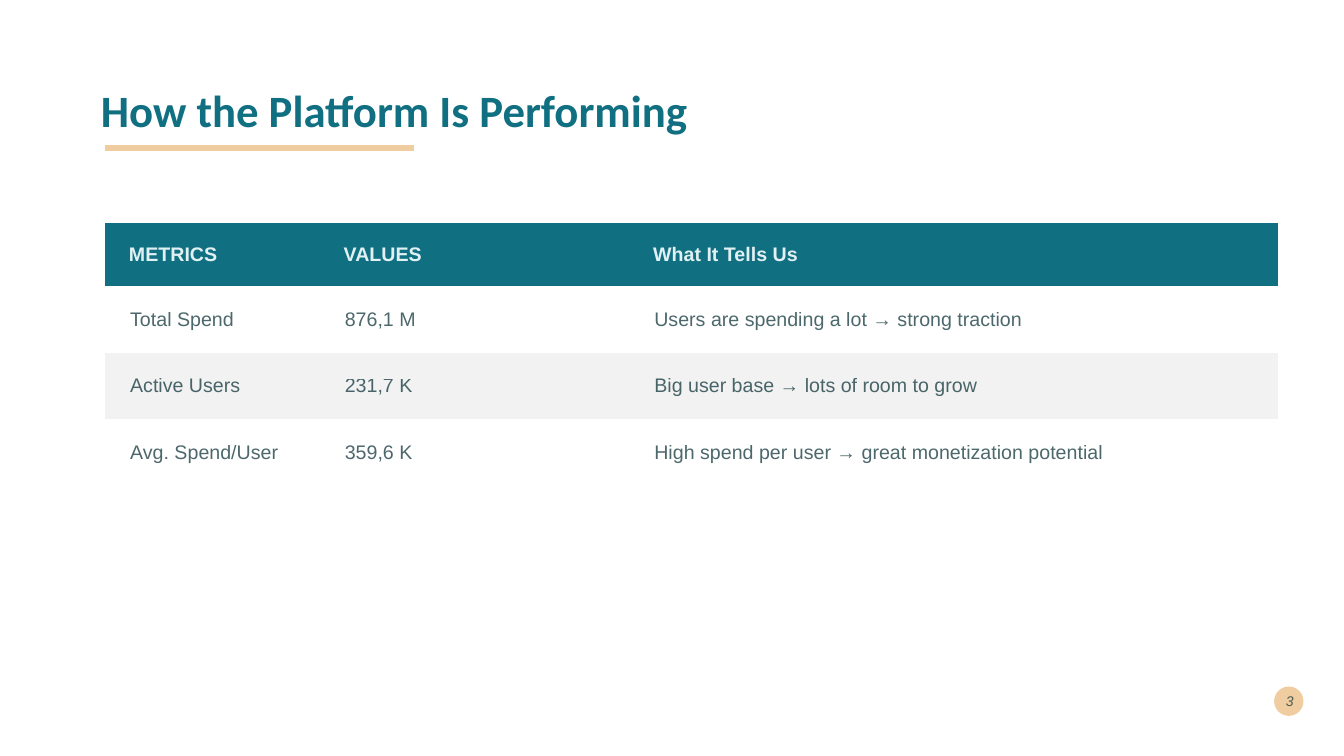
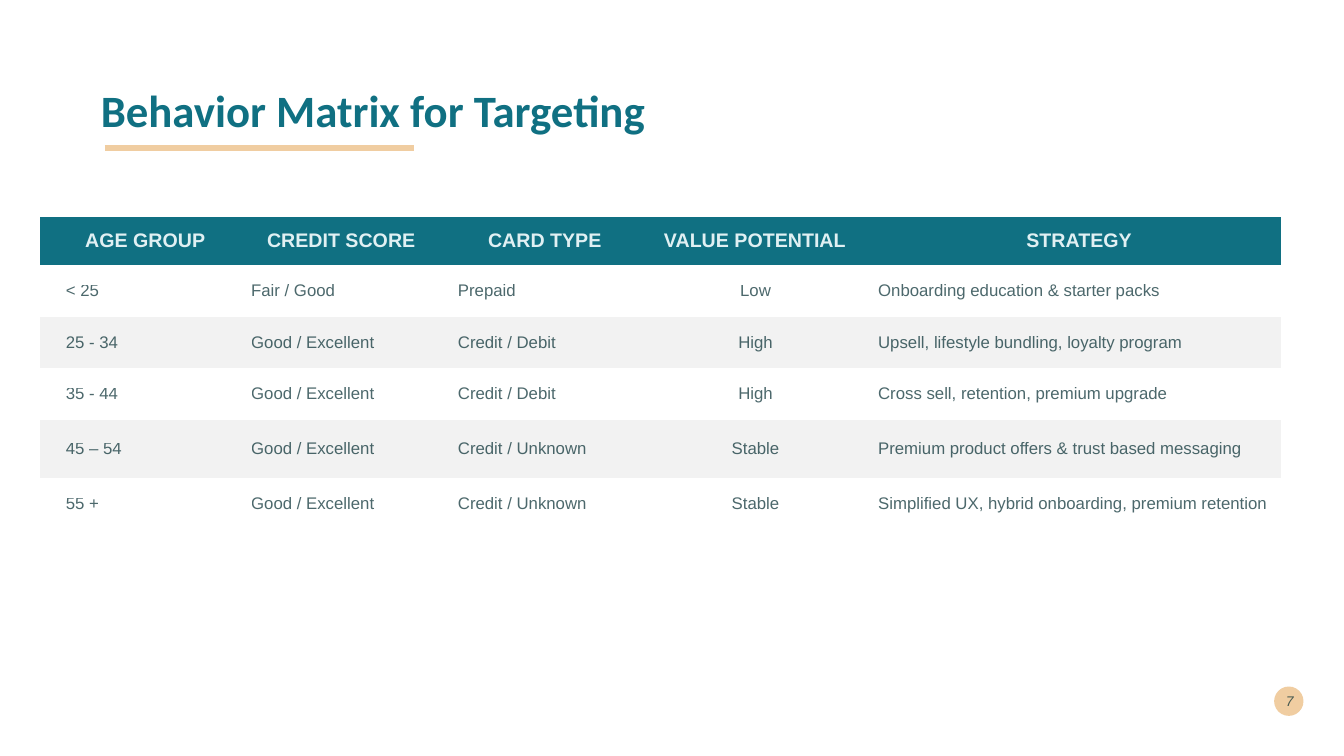
from lxml.etree import SubElement
from pptx import Presentation
from pptx.dml.color import RGBColor
from pptx.enum.shapes import MSO_CONNECTOR, MSO_SHAPE
from pptx.enum.text import MSO_ANCHOR, PP_ALIGN
from pptx.oxml.ns import qn
from pptx.util import Cm, Pt

TEAL = RGBColor(0x10, 0x70, 0x82)
SAND = RGBColor(0xF0, 0xCD, 0xA1)
INK = RGBColor(0x00, 0x29, 0x2E)
PALE = RGBColor(0xE0, 0xF0, 0xF3)
BAND = RGBColor(0xF2, 0xF2, 0xF2)
LEFT, CENTER = PP_ALIGN.LEFT, PP_ALIGN.CENTER
PLAIN_TABLE = "{2D5ABB26-0587-4C30-8999-92F81FD0307C}"

PAGES = [
    {
        "title": "How the Platform Is Performing",
        "number": "3",
        "origin": (2.64, 5.61),
        "columns": [5.41, 7.8, 16.36],
        "heights": [1.6, 1.68, 1.68, 1.68],
        "space_before": [7.8, 4.2, 3.7, 3.7],
        "body_size": 14,
        "header_alignment": LEFT,
        "alignments": [LEFT, LEFT, LEFT],
        "rows": [
            ["METRICS", "VALUES", "What It Tells Us"],
            ["Total Spend", "876,1 M", "Users are spending a lot → strong traction"],
            ["Active Users", "231,7 K", "Big user base → lots of room to grow"],
            ["Avg. Spend/User", "359,6 K", "High spend per user → great monetization potential"],
        ],
    },
    {
        "title": "Behavior Matrix for Targeting",
        "number": "7",
        "origin": (1.02, 5.46),
        "columns": [4.67, 5.21, 5.05, 5.54, 10.8],
        "heights": [1.22, 1.3, 1.3, 1.3, 1.47, 1.3],
        "space_before": [7.8, 4.2, 3.7, 3.7, 3, 3.4],
        "body_size": 12,
        "header_alignment": CENTER,
        "alignments": [LEFT, LEFT, LEFT, CENTER, LEFT],
        "rows": [
            ["AGE GROUP", "CREDIT SCORE", "CARD TYPE", "VALUE POTENTIAL", "STRATEGY"],
            ["< 25", "Fair / Good", "Prepaid", "Low", "Onboarding education & starter packs"],
            ["25 - 34", "Good / Excellent", "Credit / Debit", "High",
             "Upsell, lifestyle bundling, loyalty program"],
            ["35 - 44", "Good / Excellent", "Credit / Debit", "High",
             "Cross sell, retention, premium upgrade"],
            ["45 – 54", "Good / Excellent", "Credit / Unknown", "Stable",
             "Premium product offers & trust based messaging"],
            ["55 +", "Good / Excellent", "Credit / Unknown", "Stable",
             "Simplified UX, hybrid onboarding, premium retention"],
        ],
    },
]


def style_text(paragraph, size, color, font_name="Arial", bold=False, italic=False, opacity=100):
    font = paragraph.runs[0].font
    font.name, font.size, font.bold, font.italic = font_name, Pt(size), bold, italic
    font.color.rgb = color
    if opacity < 100:
        color_element = paragraph.runs[0]._r.rPr.find(".//" + qn("a:srgbClr"))
        SubElement(color_element, qn("a:alpha")).set("val", str(opacity * 1000))


def add_text(slide, text, left, top, width, height):
    text_frame = slide.shapes.add_textbox(Cm(left), Cm(top), Cm(width), Cm(height)).text_frame
    text_frame.word_wrap = True
    text_frame.vertical_anchor = MSO_ANCHOR.MIDDLE
    text_frame.text = text
    return text_frame.paragraphs[0]


presentation = Presentation()
presentation.slide_width = Cm(33.87)
presentation.slide_height = Cm(19.05)

for page in PAGES:
    slide = presentation.slides.add_slide(presentation.slide_layouts[6])

    badge = slide.shapes.add_shape(MSO_SHAPE.OVAL, Cm(32.11), Cm(17.3), Cm(0.74), Cm(0.74))
    badge.shadow.inherit = False
    badge.fill.solid()
    badge.fill.fore_color.rgb = SAND
    badge.line.fill.background()

    number = add_text(slide, page["number"], 31.85, 17.15, 1, 1.02)
    number.alignment = PP_ALIGN.RIGHT
    style_text(number, 10, INK, italic=True, opacity=70)

    title = add_text(slide, page["title"], 2.29, 1.02, 29.21, 3.68)
    title.line_spacing = 0.9
    style_text(title, 32, TEAL, font_name="Calibri", bold=True)

    underline = slide.shapes.add_connector(
        MSO_CONNECTOR.STRAIGHT, Cm(2.64), Cm(3.73), Cm(10.44), Cm(3.73))
    underline.line.color.rgb = SAND
    underline.line.width = Pt(4.32)
    SubElement(underline._element.spPr, qn("a:effectLst"))

    rows, columns, heights = page["rows"], page["columns"], page["heights"]
    left, top = page["origin"]
    table = slide.shapes.add_table(
        len(rows), len(columns), Cm(left), Cm(top), Cm(sum(columns)), Cm(sum(heights))).table
    table.horz_banding = False
    table._tbl.tblPr.find(qn("a:tableStyleId")).text = PLAIN_TABLE
    for column, width in zip(table.columns, columns):
        column.width = Cm(width)

    for row_index, texts in enumerate(rows):
        is_header = row_index == 0
        table.rows[row_index].height = Cm(heights[row_index])
        for column_index, text in enumerate(texts):
            cell = table.cell(row_index, column_index)
            cell.margin_left = cell.margin_right = cell.margin_top = cell.margin_bottom = 0
            cell.vertical_anchor = MSO_ANCHOR.MIDDLE
            if is_header or row_index % 2 == 0:
                cell.fill.solid()
                cell.fill.fore_color.rgb = TEAL if is_header else BAND
            else:
                cell.fill.background()
            cell.text_frame.text = text
            paragraph = cell.text_frame.paragraphs[0]
            paragraph.space_before = Pt(page["space_before"][row_index])
            indent = Cm(0.61 if is_header else 0.64)
            paragraph._p.get_or_add_pPr().set("marL", str(indent))
            if is_header:
                paragraph.alignment = page["header_alignment"]
                style_text(paragraph, 14, PALE, bold=True)
            else:
                paragraph.alignment = page["alignments"][column_index]
                style_text(paragraph, page["body_size"], INK, opacity=70)

presentation.save("out.pptx")
